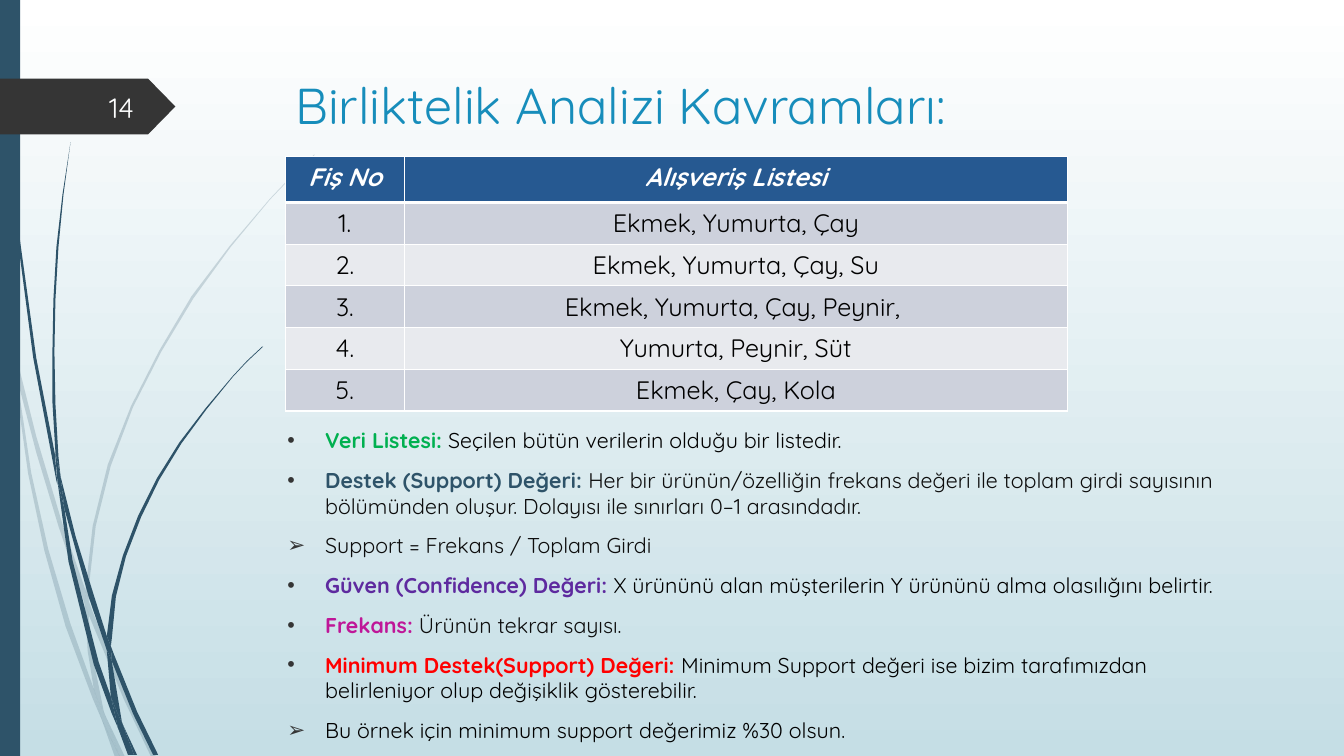
from lxml.etree import SubElement
from pptx import Presentation
from pptx.dml.color import RGBColor
from pptx.enum.shapes import MSO_SHAPE
from pptx.enum.text import MSO_ANCHOR, MSO_AUTO_SIZE, PP_ALIGN
from pptx.oxml import parse_xml
from pptx.oxml.ns import nsdecls, qn
from pptx.util import Cm, Pt

FONT = "Quicksand"
NAVY, DARK, BLACK, INK = "2E5369", "353535", "000000", "0D0D0D"
WIDE, HIGH = 33.87, 19.05

TITLE = "Birliktelik Analizi Kavramları:"
NUMBER = "14"
HEAD = ("Fiş No", "Alışveriş Listesi")
BASKETS = [
    "Ekmek, Yumurta, Çay",
    "Ekmek, Yumurta, Çay, Su",
    "Ekmek, Yumurta, Çay, Peynir, ",
    "Yumurta, Peynir, Süt",
    "Ekmek, Çay, Kola",
]
# bullet, term, term colour, text, text colour
TERMS = [
    ("•", "Veri Listesi: ", "00B050",
     "Seçilen bütün verilerin olduğu bir listedir.", BLACK),
    ("•", "Destek (Support) Değeri: ", NAVY,
     "Her bir ürünün/özelliğin frekans değeri ile toplam girdi sayısının "
     "bölümünden oluşur. Dolayısı ile sınırları 0–1 arasındadır.", INK),
    ("➢", "", INK, "Support = Frekans / Toplam Girdi", INK),
    ("•", "Güven (Confidence) Değeri: ", "5E2A9F",
     "X ürününü alan müşterilerin Y ürününü alma olasılığını belirtir.", BLACK),
    ("•", "Frekans: ", "BF1698", "Ürünün tekrar sayısı.", INK),
    ("•", "Minimum Destek(Support) Değeri: ", "FF0000",
     "Minimum Support değeri ise bizim tarafımızdan belirleniyor olup "
     "değişiklik gösterebilir.", BLACK),
    ("➢", "", BLACK, "Bu örnek için minimum support değerimiz %30 olsun.", BLACK),
]
# grass outlines: x,y corners on a grid of 0.01 inch
PALE = [
    "11,350 9,322 0,282 0,299 10,344",
    "58,522 84,599 85,586 62,520 36,433 14,345 17,376 36,449",
    "92,607 88,596 88,610 123,694 150,751 155,751 127,692",
    "119,751 124,751 105,711",
    "93,683 70,619 48,545 31,469 17,376 11,350 28,470 44,546 65,621 92,693 "
    "101,714 99,707",
    "84,599 87,646 93,683 96,692 105,711 103,706 91,646 88,610 88,608",
    "88,584 95,522 110,462 132,404 160,349 192,296 229,245 268,198 290,175 "
    "312,154 312,153 289,175 268,197 228,244 190,294 158,348 130,403 107,461 "
    "92,522 85,584 85,586 88,596",
    "101,714 114,751 119,751",
    "88,608 88,610 88,596 85,586 84,599",
    "96,692 93,683 99,707 101,714 119,751 105,711",
]
SOLID = [
    "7,110 17,233 33,355 56,477 57,481 55,457 55,453 36,355 19,232 8,109 "
    "5,48 4,0 3,0 4,48",
    "88,592 106,645 106,633 106,631 93,590 75,532 60,472 64,505",
    "113,649 110,641 111,656 132,708 152,749 157,749 136,706",
    "110,691 98,657 72,556 64,505 57,477 68,557 93,659 111,708 117,722 116,717",
    "60,472 58,453 55,401 54,349 55,297 58,245 63,193 70,141 62,193 56,245 "
    "53,297 52,349 52,399 55,449",
    "133,749 136,749 122,719",
    "57,477 64,505 60,472 55,449 55,453",
    "111,633 115,592 125,552 140,513 158,476 180,440 205,406 231,374 245,359 "
    "261,344 260,344 245,358 231,373 204,405 178,439 156,474 137,512 122,551 "
    "111,591 106,631 110,641",
    "117,722 127,749 131,749",
    "106,645 110,691 116,706 122,719 121,716 111,656 109,651",
    "106,645 109,651 111,656 110,641 106,631 106,633",
    "116,706 110,691 116,717 117,722 130,749 133,749 122,719",
]
STEP = Cm(2.54) / 100


def rgb(code):
    return RGBColor.from_string(code)


def paint(shape, code, alpha=None):
    shape.shadow.inherit = False
    shape.fill.solid()
    shape.fill.fore_color.rgb = rgb(code)
    shape.line.fill.background()
    if alpha:
        tone = shape.element.spPr.find(".//" + qn("a:srgbClr"))
        SubElement(tone, qn("a:alpha")).set("val", str(alpha * 1000))


def write(par, text, size, code, bold=False, slant=False):
    run = par.add_run()
    run.text = text
    font = run.font
    font.name, font.size, font.bold, font.italic = FONT, Pt(size), bold, slant
    font.color.rgb = rgb(code)


def place(shape, left, top, width, height, anchor):
    shape.left, shape.top, shape.width, shape.height = map(
        Cm, (left, top, width, height))
    frame = shape.text_frame
    frame.word_wrap, frame.auto_size = True, MSO_AUTO_SIZE.NONE
    frame.vertical_anchor = anchor
    return frame


def blade(shapes, edge, alpha=None):
    pts = [tuple(map(int, pair.split(","))) for pair in edge.split()]
    outline = shapes.build_freeform(*pts[0], scale=STEP)
    outline.add_line_segments(pts[1:], close=True)
    paint(outline.convert_to_shape(), NAVY, alpha)


def fill_cell(cell, text, code, ink, head):
    cell.fill.solid()
    cell.fill.fore_color.rgb = rgb(code)
    par = cell.text_frame.paragraphs[0]
    par.alignment = PP_ALIGN.CENTER
    write(par, text, 18, ink, head, head)
    return cell._tc.get_or_add_tcPr()


def border(props, row):
    for i, side in enumerate("LRTB"):
        thick = 3 if (row, side) in ((0, "B"), (1, "T")) else 1
        props.insert(i, parse_xml(
            f'<a:ln{side} {nsdecls("a")} w="{Pt(thick)}"><a:solidFill>'
            f'<a:srgbClr val="FFFFFF"/></a:solidFill></a:ln{side}>'))


def bullet(par, mark):
    props = par._p.get_or_add_pPr()
    props.set("marL", str(Cm(.95)))
    props.set("indent", str(-Cm(.95)))
    tone = SubElement(props, qn("a:buClr"))
    SubElement(tone, qn("a:srgbClr")).set("val", DARK)
    SubElement(props, qn("a:buFont")).set("typeface", "Arial")
    SubElement(props, qn("a:buChar")).set("char", mark)


def main():
    deck = Presentation()
    deck.slide_width, deck.slide_height = Cm(WIDE), Cm(HIGH)
    slide = deck.slides.add_slide(deck.slide_layouts[1])
    shapes = slide.shapes

    # Background
    back = slide.background.fill
    back.gradient()
    back.gradient_angle = 270
    for stop, code in zip(back.gradient_stops, ("FFFFFF", "C5DEE5")):
        stop.color.rgb = rgb(code)

    # Grass, side bar and number tag
    for edges, alpha in ((PALE, 20), (SOLID, None)):
        for edge in edges:
            blade(shapes, edge, alpha)
    bar = shapes.add_shape(MSO_SHAPE.RECTANGLE, 0, 0, Cm(.51), Cm(HIGH))
    paint(bar, NAVY)
    tag = shapes.add_shape(MSO_SHAPE.PENTAGON, 0, Cm(1.98), Cm(4.42), Cm(1.41))
    tag.adjustments[0] = .49
    paint(tag, DARK)
    box = shapes.add_textbox(0, 0, 0, 0)
    par = place(box, 1.47, 2.2, 2.16, 1.02, MSO_ANCHOR.MIDDLE).paragraphs[0]
    par.alignment = PP_ALIGN.RIGHT
    write(par, NUMBER, 20, "FEFFFF")

    # Title
    par = place(shapes.title, 7.19, 1.73, 24.77, 3.56, MSO_ANCHOR.TOP).paragraphs[0]
    par.alignment = PP_ALIGN.LEFT
    write(par, TITLE, 36, "178DBB")

    # Terms
    frame = place(slide.placeholders[1], 6.99, 10.64, 24.77, 7.62, MSO_ANCHOR.TOP)
    for i, (mark, term, hue, text, ink) in enumerate(TERMS):
        par = frame.add_paragraph() if i else frame.paragraphs[0]
        par.space_before, par.line_spacing = Pt(10), 1.0
        bullet(par, mark)
        if term:
            write(par, term, 15.3, hue, True)
        write(par, text, 15.3, ink)

    # Basket table
    rows = [HEAD] + [(f"{i}.", text) for i, text in enumerate(BASKETS, 1)]
    grid = shapes.add_table(len(rows), 2, Cm(7.19), Cm(3.94), Cm(19.71), Cm(6.25)).table
    for col, width in zip(grid.columns, (3, 16.71)):
        col.width = Cm(width)
    for r, row in enumerate(rows):
        grid.rows[r].height = Cm(.94 if r else 1.16)
        code = ("E8EAEE", "CDD1DC")[r % 2] if r else "265991"
        for c, text in enumerate(row):
            props = fill_cell(grid.cell(r, c), text, code,
                              BLACK if r else "FFFFFF", r == 0)
            border(props, r)

    deck.save("out.pptx")


if __name__ == "__main__":
    main()
